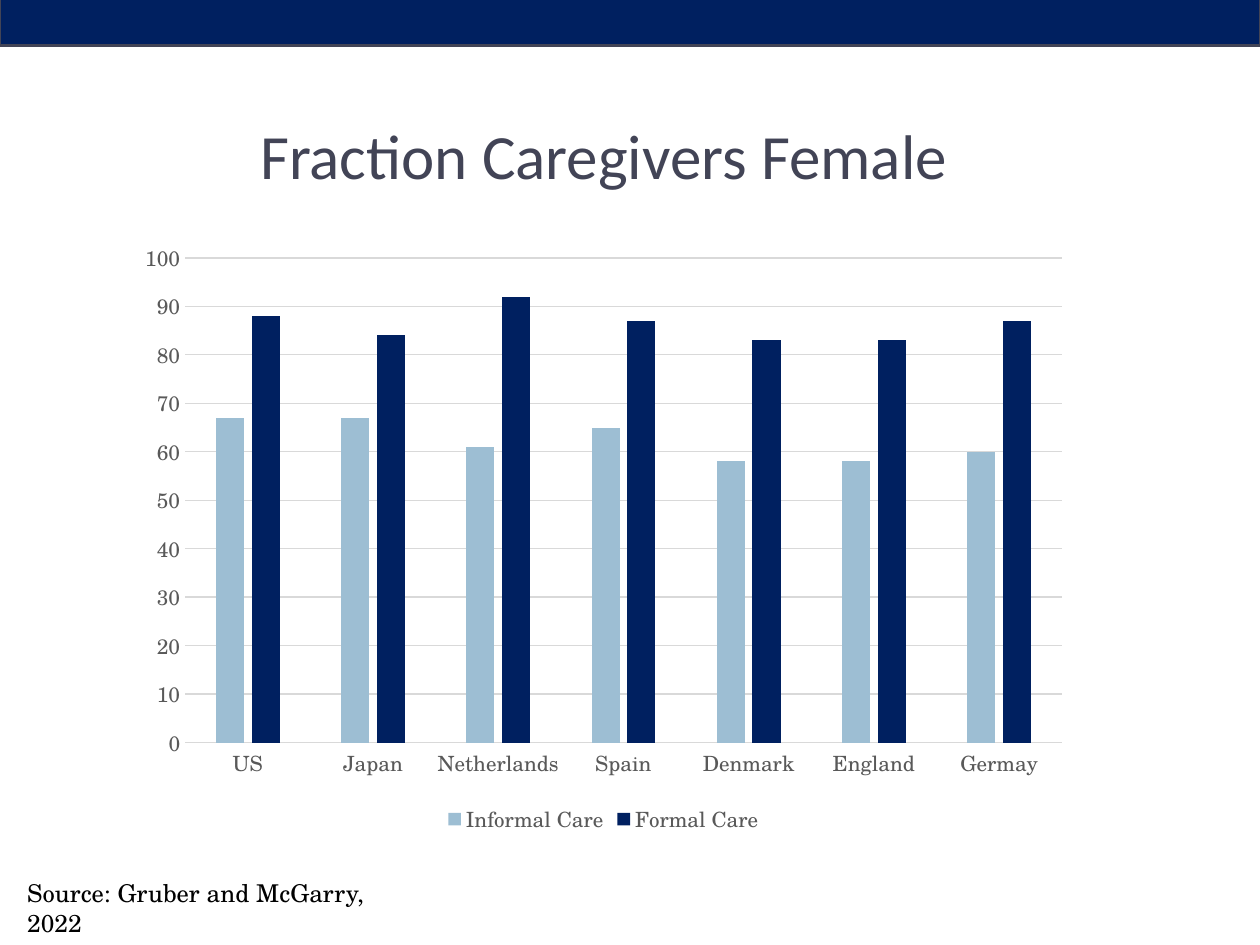
"""Build a slide comparing the female share of caregivers by country."""
from pptx import Presentation
from pptx import util as u
from pptx.chart.data import CategoryChartData
from pptx.dml.color import RGBColor
from pptx.enum import chart as charts, shapes, text

SERIF = "TeX Gyre Schola"
NAVY, SLATE, SKY = "002060", "424456", "9DBED3"
GREY, PALE, BLACK = "595959", "D9D9D9", "000000"
COUNTRIES = ["US", "Japan", "Netherlands", "Spain", "Denmark", "England", "Germay"]
CARE = [
    ("Informal Care", [67, 67, 61, 65, 58, 58, 60], SKY),
    ("Formal Care", [88, 84, 92, 87, 83, 83, 87], NAVY),
]


def colour(value):
    """Turn a hex string into a colour."""
    return RGBColor.from_string(value)


def paint(target, value):
    """Give a shape or a series a solid fill."""
    target.fill.solid()
    target.fill.fore_color.rgb = colour(value)


def draw_line(line, value, width):
    """Set the colour and width of a line."""
    line.color.rgb = colour(value)
    line.width = u.Pt(width)


def style_font(font, name, size, value):
    """Set the typeface, size and colour of a font."""
    font.name = name
    font.size = u.Pt(size)
    font.color.rgb = colour(value)


def write(box, wording, name, size, value, align):
    """Write one formatted paragraph and return it."""
    box.text_frame.word_wrap = True
    para = box.text_frame.paragraphs[0]
    para.alignment = align
    span = para.add_run()
    span.text = wording
    style_font(span.font, name, size, value)
    return para


def add_title(page, wording):
    """Place and fill the title placeholder."""
    title = page.shapes.title
    title.left, title.top = u.Cm(0.84), u.Cm(1.91)
    title.width, title.height = u.Cm(22.66), u.Cm(2.39)
    title.text_frame.vertical_anchor = text.MSO_ANCHOR.MIDDLE
    write(title, wording, "Calibri", 36, SLATE, text.PP_ALIGN.CENTER)


def add_source(page, wording):
    """Add the indented source note at the foot of the slide."""
    box = page.shapes.add_textbox(u.Cm(0), u.Cm(17.58), u.Cm(8.61), u.Cm(0.86))
    para = write(box, wording, SERIF, 14, BLACK, text.PP_ALIGN.LEFT)
    para._p.get_or_add_pPr().set("marL", str(u.Cm(0.3)))


def add_banner(page, width):
    """Add the dark band along the top edge."""
    banner = page.shapes.add_shape(
        shapes.MSO_SHAPE.RECTANGLE, u.Cm(0), u.Cm(-0.15), width, u.Cm(1.07))
    banner.shadow.inherit = False
    paint(banner, NAVY)
    draw_line(banner.line, SLATE, 1.5)


def style_axis(axis):
    """Remove the tick marks and set the label font."""
    axis.major_tick_mark = axis.minor_tick_mark = charts.XL_TICK_MARK.NONE
    style_font(axis.tick_labels.font, SERIF, 12, GREY)


def add_care_chart(page):
    """Add the clustered columns of informal and formal care."""
    data = CategoryChartData()
    data.categories = COUNTRIES
    for name, values, _ in CARE:
        data.add_series(name, values)
    chart = page.shapes.add_chart(
        charts.XL_CHART_TYPE.COLUMN_CLUSTERED,
        u.Cm(2.54), u.Cm(4.65), u.Cm(19.25), u.Cm(12.27), data).chart
    chart.has_title = False
    style_font(chart.font, SERIF, 10, BLACK)

    plot = chart.plots[0]
    plot.gap_width, plot.overlap = 219, -27
    plot.vary_by_categories = False
    for series, (_, _, shade) in zip(plot.series, CARE):
        paint(series.format, shade)

    countries, share = chart.category_axis, chart.value_axis
    style_axis(countries)
    draw_line(countries.format.line, PALE, 0.75)
    style_axis(share)
    share.minimum_scale, share.maximum_scale, share.major_unit = 0, 100, 10
    share.format.line.fill.background()
    draw_line(share.major_gridlines.format.line, PALE, 0.75)

    chart.has_legend = True
    chart.legend.position = charts.XL_LEGEND_POSITION.BOTTOM
    chart.legend.include_in_layout = False
    style_font(chart.legend.font, SERIF, 12, GREY)


def main():
    """Build and save the deck."""
    deck = Presentation()
    deck.slide_width, deck.slide_height = u.Cm(25.4), u.Cm(19.05)
    page = deck.slides.add_slide(deck.slide_layouts.get_by_name("Title Only"))
    add_title(page, "Fraction Caregivers Female")
    add_source(page, "Source: Gruber and McGarry, 2022")
    add_banner(page, deck.slide_width)
    add_care_chart(page)
    deck.save("out.pptx")


if __name__ == "__main__":
    main()
